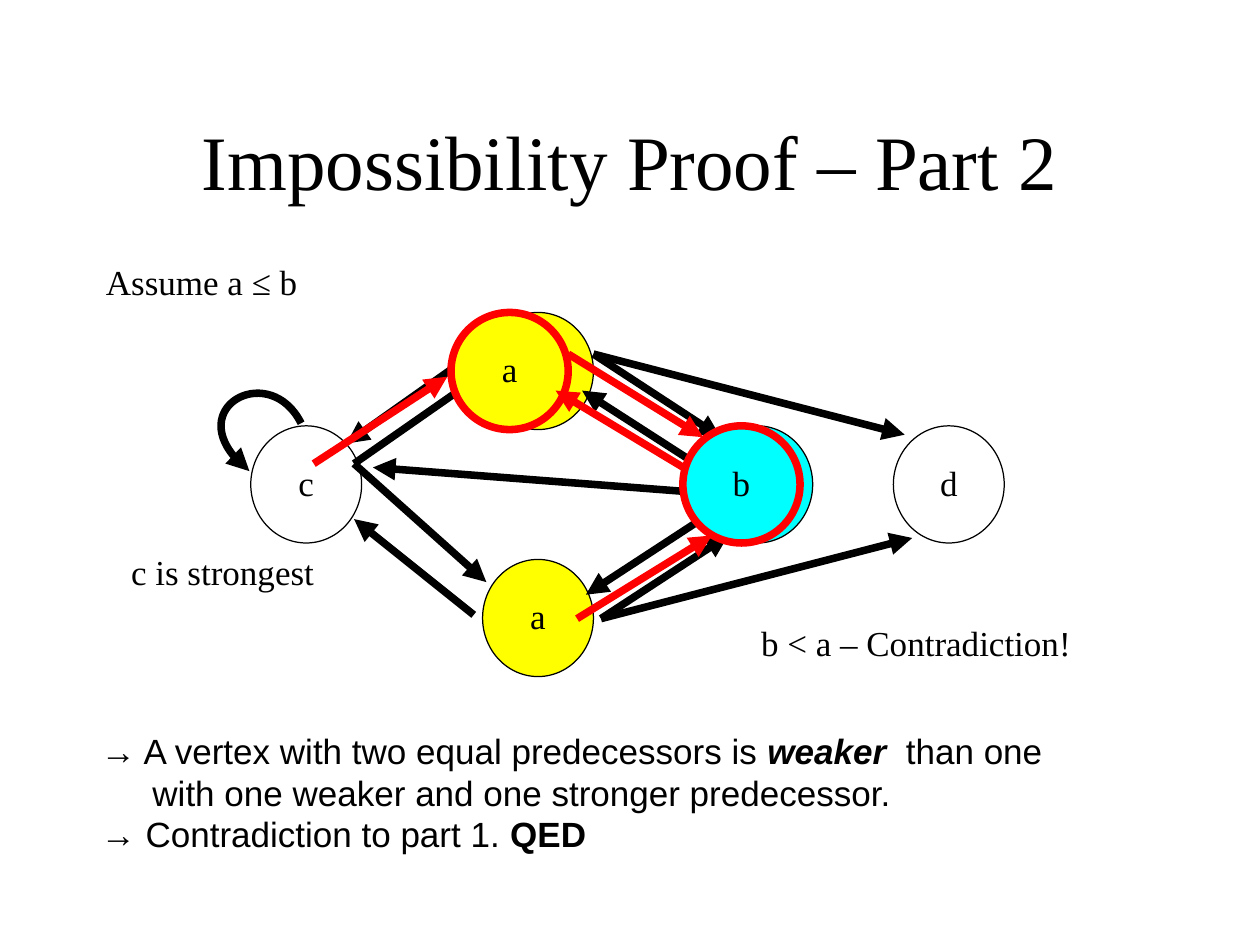
from typing import NamedTuple, Optional

from lxml.etree import SubElement
from pptx import Presentation
from pptx.dml.color import RGBColor
from pptx.enum.shapes import MSO_CONNECTOR, MSO_SHAPE
from pptx.enum.text import MSO_ANCHOR, MSO_AUTO_SIZE, PP_ALIGN
from pptx.oxml.ns import qn
from pptx.util import Inches, Pt

BLACK = RGBColor(0, 0, 0)
RED = RGBColor(255, 0, 0)
YELLOW = RGBColor(255, 255, 0)
CYAN = RGBColor(0, 255, 255)
SERIF = "Times New Roman"
SANS = "Arial"
THIN = 0.71
THICK = 4.31
VERTEX_HEIGHT = 0.93


class Vertex(NamedTuple):
    left: float
    top: float
    label: str
    fill: Optional[RGBColor] = None
    width: float = 0.88
    outline: RGBColor = BLACK
    weight: float = THIN


class Edge(NamedTuple):
    start: tuple[float, float]
    end: tuple[float, float]
    color: RGBColor = BLACK


class Note(NamedTuple):
    left: float
    top: float
    width: float
    text: str


class Phrase(NamedTuple):
    text: str
    bold: bool = False
    italic: bool = False


VERTICES = [
    Vertex(1.99, 3.38, "c"),
    Vertex(3.83, 2.48, "", YELLOW),
    Vertex(3.83, 4.44, "a", YELLOW),
    Vertex(5.57, 3.38, "b", CYAN),
    Vertex(7.09, 3.38, "d"),
]
EDGES = [
    Edge((2.81, 3.68), (3.8, 2.99)),
    Edge((2.81, 3.68), (3.86, 4.62)),
    Edge((4.71, 2.81), (5.72, 3.47)),
    Edge((5.63, 3.75), (4.62, 3.1)),
    Edge((4.77, 4.91), (5.78, 4.25)),
    Edge((5.66, 4.06), (4.65, 4.72)),
    Edge((4.71, 2.81), (7.18, 3.45)),
    Edge((4.77, 4.91), (7.24, 4.27)),
    Edge((3.74, 2.82), (2.75, 3.52)),
    Edge((3.76, 4.88), (2.81, 4.12)),
    Edge((5.56, 3.91), (2.96, 3.71)),
]
SELF_LOOP = [(2.39, 3.36), (2.15, 2.88), (1.38, 3.26), (1.98, 3.74)]
STRONG_A = Vertex(3.58, 2.48, "a", YELLOW, 0.93, RED, THICK)
STRONG_A_EDGES = [
    Edge((2.49, 3.68), (3.55, 2.99), RED),
    Edge((5.49, 3.75), (4.41, 3.1), RED),
]
STRONG_B = Vertex(5.42, 3.38, "b", CYAN, 0.93, RED, THICK)
STRONG_B_EDGES = [
    Edge((4.51, 2.81), (5.58, 3.47), RED),
    Edge((4.58, 4.91), (5.65, 4.25), RED),
]
NOTES = [
    Note(1.04, 4.4, 1.82, "c is strongest"),
    Note(0.84, 2.1, 1.65, "Assume a ≤ b"),
    Note(6.04, 4.96, 2.99, "b < a – Contradiction!"),
]
CONCLUSIONS = [
    [
        Phrase("→ A vertex with two equal predecessors is "),
        Phrase("weaker  ", True, True),
        Phrase("than one with one weaker and one stronger predecessor."),
    ],
    [Phrase("→ Contradiction to part 1. "), Phrase("QED", True)],
]


def place(shape, left: float, top: float, width: float, height: float) -> None:
    shape.left, shape.top = Inches(left), Inches(top)
    shape.width, shape.height = Inches(width), Inches(height)


def prepare_frame(frame, anchor) -> None:
    frame.margin_left = frame.margin_right = 0
    frame.margin_top = frame.margin_bottom = 0
    frame.word_wrap = True
    frame.auto_size = MSO_AUTO_SIZE.NONE
    frame.vertical_anchor = anchor


def format_font(font, name: str, size: float) -> None:
    font.name = name
    font.size = Pt(size)
    font.color.rgb = BLACK


def set_text(frame, text: str, size: float, alignment, spacing: float) -> None:
    frame.text = text
    para = frame.paragraphs[0]
    para.alignment = alignment
    para.line_spacing = spacing
    for span in para.runs:
        format_font(span.font, SERIF, size)


def set_line(line, color: RGBColor, weight: float, arrow: bool = False) -> None:
    line.color.rgb = color
    line.width = Pt(weight)
    if arrow:
        SubElement(line._get_or_add_ln(), qn("a:tailEnd"), type="triangle")


def draw_vertex(slide, vertex: Vertex) -> None:
    circle = slide.shapes.add_shape(
        MSO_SHAPE.OVAL, Inches(vertex.left), Inches(vertex.top),
        Inches(vertex.width), Inches(VERTEX_HEIGHT))
    circle.shadow.inherit = False
    if vertex.fill is None:
        circle.fill.background()
    else:
        circle.fill.solid()
        circle.fill.fore_color.rgb = vertex.fill
    set_line(circle.line, vertex.outline, vertex.weight)
    prepare_frame(circle.text_frame, MSO_ANCHOR.MIDDLE)
    if vertex.label:
        set_text(circle.text_frame, vertex.label, 20, PP_ALIGN.CENTER, 0.93)


def draw_edge(slide, edge: Edge) -> None:
    points = [Inches(value) for value in edge.start + edge.end]
    connector = slide.shapes.add_connector(MSO_CONNECTOR.STRAIGHT, *points)
    set_line(connector.line, edge.color, THICK, arrow=True)
    SubElement(connector._element.spPr, qn("a:effectLst"))


def draw_self_loop(slide, points: list[tuple[float, float]]) -> None:
    start, *controls = [(Inches(x), Inches(y)) for x, y in points]
    builder = slide.shapes.build_freeform(*start)
    builder.add_line_segments(controls, close=False)
    loop = builder.convert_to_shape()
    segments = list(loop._element.iter(qn("a:lnTo")))
    curve = SubElement(segments[0].getparent(), qn("a:cubicBezTo"))
    for segment in segments:
        curve.append(segment[0])
        segment.getparent().remove(segment)
    loop.shadow.inherit = False
    loop.fill.background()
    set_line(loop.line, BLACK, THICK, arrow=True)


def draw_note(slide, note: Note) -> None:
    box = slide.shapes.add_textbox(
        Inches(note.left), Inches(note.top), Inches(note.width), Inches(0.32))
    prepare_frame(box.text_frame, MSO_ANCHOR.TOP)
    set_text(box.text_frame, note.text, 20, PP_ALIGN.LEFT, 0.93)


def fill_conclusions(body, conclusions: list[list[Phrase]]) -> None:
    place(body, 0.8, 5.81, 7.91, 1.01)
    frame = body.text_frame
    prepare_frame(frame, MSO_ANCHOR.TOP)
    for index, phrases in enumerate(conclusions):
        para = frame.add_paragraph() if index else frame.paragraphs[0]
        properties = para._p.get_or_add_pPr()
        properties.set("marL", str(Inches(0.41)))
        properties.set("indent", str(-Inches(0.41)))
        SubElement(properties, qn("a:buNone"))
        para.line_spacing = 0.98
        para.space_before = Pt(0)
        for phrase in phrases:
            span = para.add_run()
            span.text = phrase.text
            format_font(span.font, SANS, 20)
            span.font.bold, span.font.italic = phrase.bold, phrase.italic


def main() -> None:
    deck = Presentation()
    deck.slide_width, deck.slide_height = Inches(10), Inches(7.5)
    page = deck.slides.add_slide(deck.slide_layouts[1])
    title, body = page.placeholders
    place(title, 0.75, 0.67, 8.5, 1.25)
    prepare_frame(title.text_frame, MSO_ANCHOR.MIDDLE)
    set_text(title.text_frame, "Impossibility Proof – Part 2", 44, PP_ALIGN.CENTER, 0.98)
    for vertex in VERTICES:
        draw_vertex(page, vertex)
    for edge in EDGES:
        draw_edge(page, edge)
    draw_self_loop(page, SELF_LOOP)
    for vertex, edges in ((STRONG_A, STRONG_A_EDGES), (STRONG_B, STRONG_B_EDGES)):
        draw_vertex(page, vertex)
        for edge in edges:
            draw_edge(page, edge)
    for note in NOTES:
        draw_note(page, note)
    fill_conclusions(body, CONCLUSIONS)
    deck.save("out.pptx")


if __name__ == "__main__":
    main()
